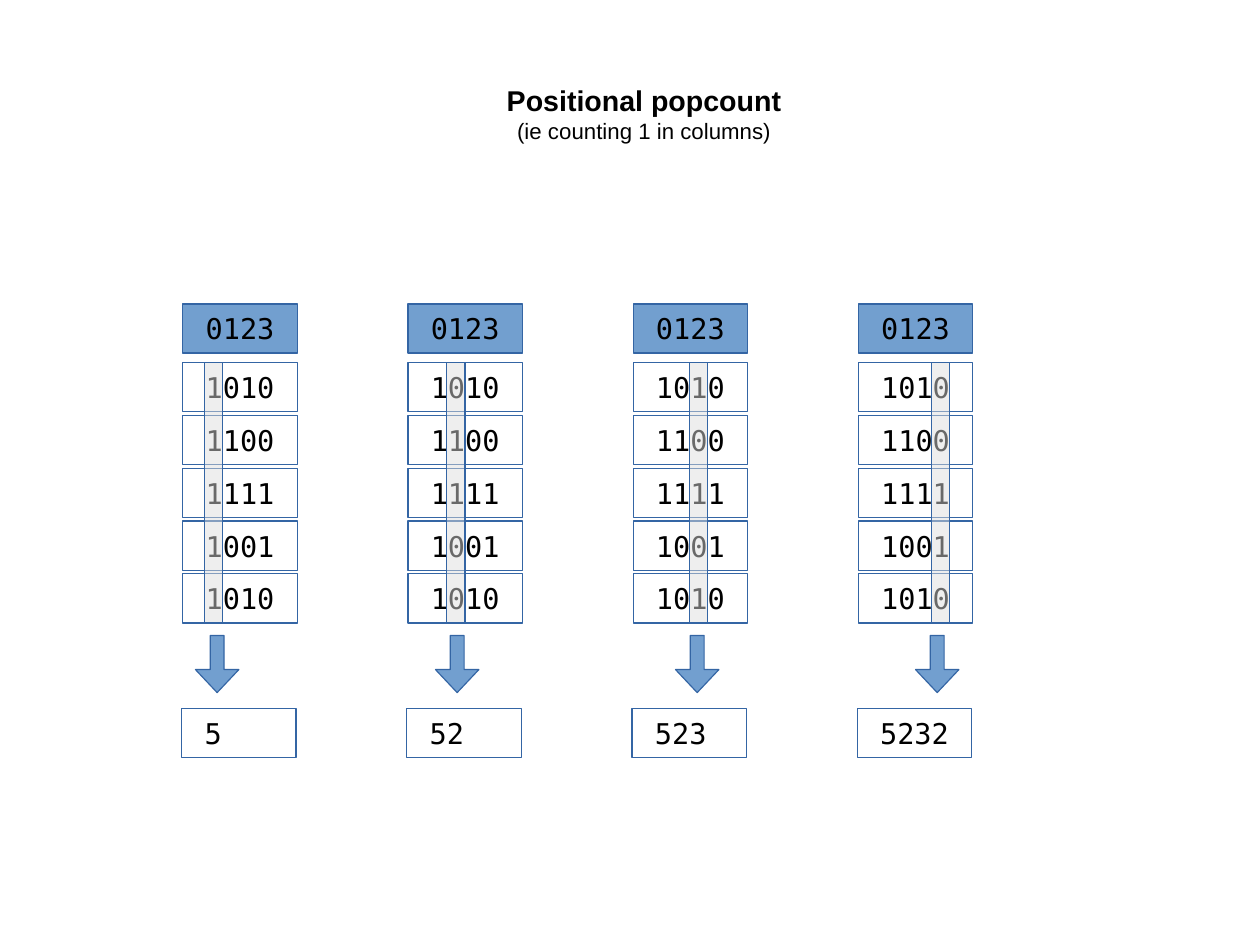
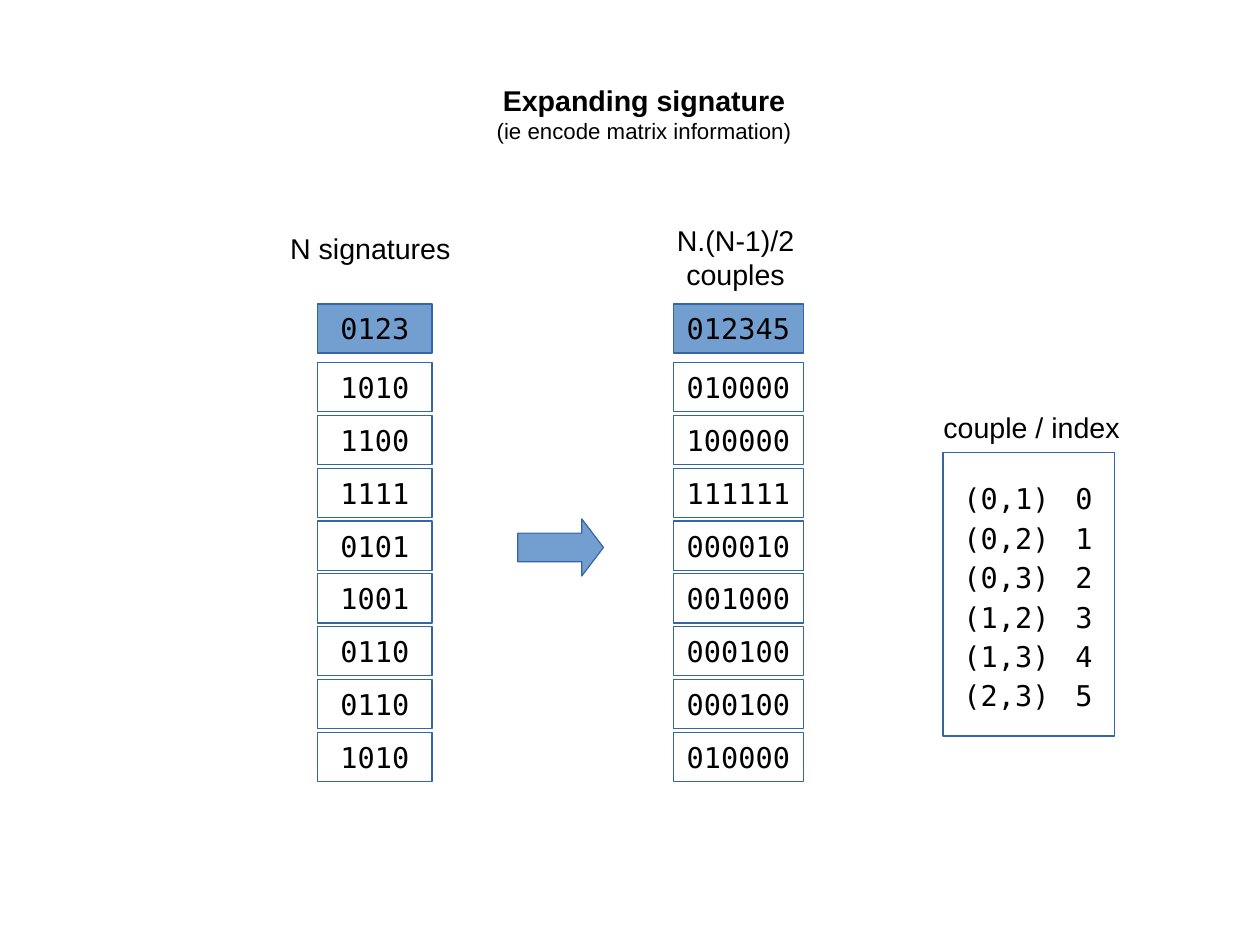
from lxml.etree import SubElement
from pptx import Presentation
from pptx.dml.color import RGBColor
from pptx.enum.shapes import MSO_SHAPE
from pptx.enum.text import MSO_ANCHOR, MSO_AUTO_SIZE, PP_ALIGN
from pptx.oxml.ns import qn
from pptx.util import Cm, Inches, Pt

# Shared look
BLUE = RGBColor(0x72, 0x9F, 0xCF)
EDGE = RGBColor(0x34, 0x65, 0xA4)
GREY = RGBColor(0xDD, 0xDD, 0xDD)
BLACK = RGBColor(0, 0, 0)
SANS, MONO = "Arial", "DejaVu Sans Mono"

# Shared grid, in inches
HEAD = 2.66        # top of the blue header cells
TOP = 3.17         # top of the first row
ROW = 3.24 / 7     # row pitch
COL = 1.97         # column pitch
WIDE, TALL = 1, 0.43
CHAR = 0.15        # width of one digit


def write(frame, text, font, align=PP_ALIGN.CENTER):
    frame.text = text
    frame.word_wrap = True
    frame.auto_size = MSO_AUTO_SIZE.NONE
    frame.vertical_anchor = MSO_ANCHOR.MIDDLE
    for para in frame.paragraphs:
        para.alignment = align
        for run in para.runs:
            run.font.name = font
            run.font.size = Pt(18)
            run.font.color.rgb = BLACK


def form(slide, kind, box, fill=None, text="", align=PP_ALIGN.CENTER):
    shape = slide.shapes.add_shape(kind, *map(Inches, box))
    shape.shadow.inherit = False
    if fill is None:
        shape.fill.background()
    else:
        shape.fill.solid()
        shape.fill.fore_color.rgb = fill
    shape.line.color.rgb = EDGE
    shape.line.width = Pt(0)
    if text:
        write(shape.text_frame, text, MONO, align)
    return shape


deck = Presentation()
deck.slide_width, deck.slide_height = Cm(28), Cm(21)

# Both slides with their titles
pages = []
for name, note in (("Positional popcount", "(ie counting 1 in columns)"),
                   ("Expanding signature", "(ie encode matrix information)")):
    page = deck.slides.add_slide(deck.slide_layouts[5])
    title = page.shapes.title
    title.left, title.top = Inches(3.77), Inches(0.74)
    title.width, title.height = Inches(3.73), Inches(0.5)
    write(title.text_frame, f"{name}\n{note}", SANS)
    first, second = title.text_frame.paragraphs
    first.runs[0].font.bold = True
    second.runs[0].font.size = Pt(14)
    pages.append(page)
count, expand = pages

# Stacks of bit rows: slide, left, width, header, rows
bits = ["1010", "1100", "1111", "1001", "1010"]
stacks = [(count, 1.6 + i * COL, WIDE, "0123", bits) for i in range(4)]
stacks += [
    (expand, 2.78, WIDE, "0123",
     ["1010", "1100", "1111", "0101", "1001", "0110", "0110", "1010"]),
    (expand, 5.89, 1.14, "012345",
     ["010000", "100000", "111111", "000010",
      "001000", "000100", "000100", "010000"]),
]
for page, left, width, head, rows in stacks:
    form(page, MSO_SHAPE.RECTANGLE, (left, HEAD, width, TALL), BLUE, head)
    for r, row in enumerate(rows):
        form(page, MSO_SHAPE.RECTANGLE,
             (left, TOP + r * ROW, width, TALL), None, row)

# Popcount: result, marked digit column and arrow per step
for i in range(4):
    total = form(count, MSO_SHAPE.RECTANGLE,
                 (1.59 + i * COL, 6.2, WIDE, TALL), None,
                 "5232"[:i + 1], PP_ALIGN.LEFT)
    total.text_frame.margin_left = Inches(0.2)

    strip = form(count, MSO_SHAPE.RECTANGLE,
                 (1.79 + i * (COL + CHAR), TOP, 0.16, 4 * ROW + TALL), GREY)
    tint = strip.element.spPr.find(".//" + qn("a:srgbClr"))
    SubElement(tint, qn("a:alpha")).set("val", "48000")

    arrow = form(count, MSO_SHAPE.DOWN_ARROW,
                 (1.71 + i * 2.1, 5.56, 0.38, 0.5), BLUE)
    arrow.adjustments[0], arrow.adjustments[1] = 0.32, 0.53

# Expanding: labels and arrow
for text, left, top, width in (("N signatures", 2.12, 1.92, 2.24),
                               ("N.(N-1)/2 couples", 5.39, 2, 2.09),
                               ("couple / index", 7.98, 3.49, 2.09)):
    label = expand.shapes.add_textbox(*map(Inches, (left, top, width, 0.5)))
    write(label.text_frame, text, SANS)
arrow = form(expand, MSO_SHAPE.RIGHT_ARROW, (4.53, 4.54, 0.75, 0.5), BLUE)
arrow.adjustments[0], arrow.adjustments[1] = 0.5, 0.38

# Expanding: index of each couple
pairs = [(a, b) for a in range(4) for b in range(a + 1, 4)]
lines = [f"({a},{b})\t{n}" for n, (a, b) in enumerate(pairs)]
index = form(expand, MSO_SHAPE.RECTANGLE, (8.25, 3.96, 1.5, 2.48), None,
             "\n".join(lines), PP_ALIGN.LEFT)
index.text_frame.margin_left = Inches(0.18)
for para in index.text_frame.paragraphs:
    para.line_spacing = 1.15
    tabs = SubElement(para._p.get_or_add_pPr(), qn("a:tabLst"))
    stop = SubElement(tabs, qn("a:tab"))
    stop.set("pos", str(Inches(0.98)))
    stop.set("algn", "l")

deck.save("out.pptx")
